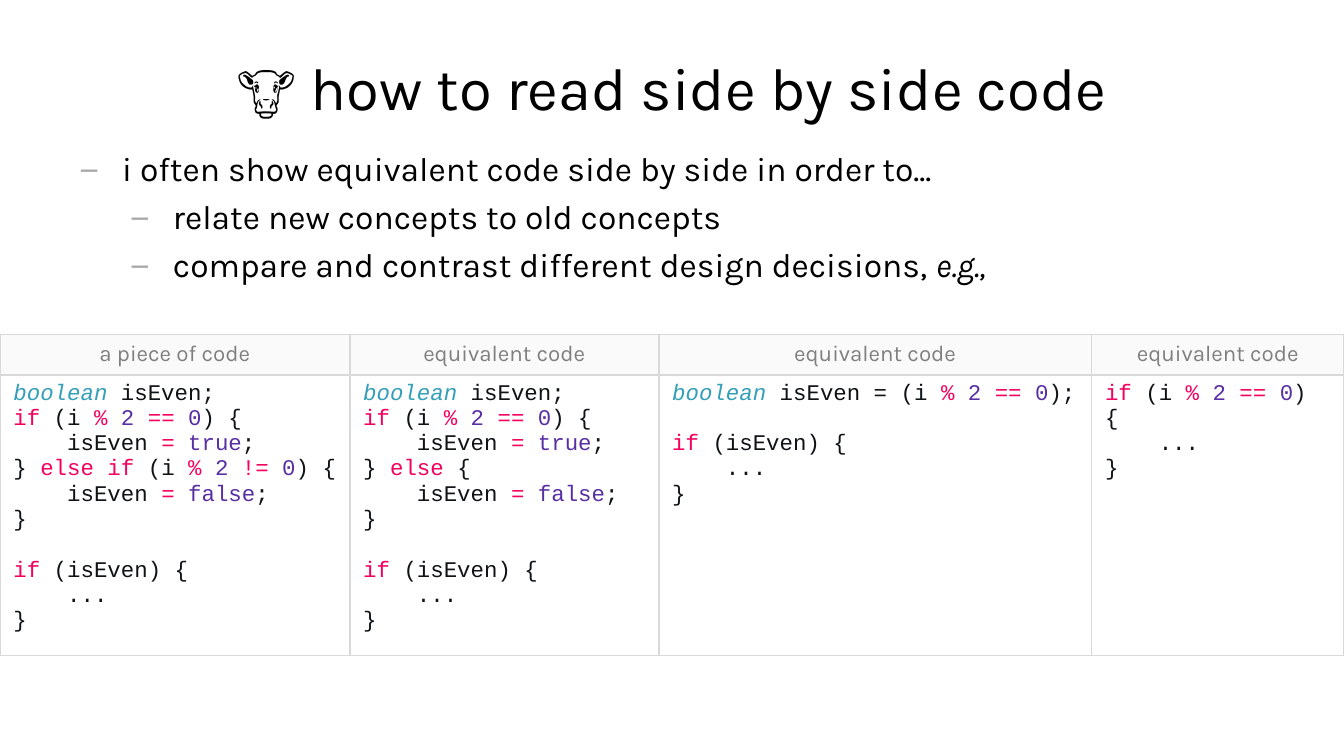
from dataclasses import dataclass

from lxml import etree
from pptx import Presentation
from pptx import util as u
from pptx.dml import color
from pptx.enum import text
from pptx.oxml import ns


@dataclass(frozen=True)
class Theme:
    sans: str = "Karla"
    mono: str = "Courier New"
    ink: str = "000000"
    mute: str = "7F7F7F"
    dash: str = "A6A6A6"
    rule: str = "D9D9D9"
    head: str = "FAFAFA"
    page: str = "FFFFFF"
    code: str = "0F1315"
    word: str = "F4005F"
    value: str = "592FA4"
    kind: str = "339FB8"
    big: int = 32
    mid: int = 18
    small: int = 12


T = Theme()
TINTS = {
    **dict.fromkeys(["if", "else", "else if", "%", "=", "==", "!="], T.word),
    **dict.fromkeys(["0", "2", "true", "false"], T.value),
    "boolean": T.kind,
}
TEST = "if| (i |% |2 |== |0|) {"
DECL = "boolean |isEven;"
YES = "\tisEven |= |true|;"
NO = "\tisEven |= |false|;"
BODY = ["\t...", "}"]
USE = ["", "if| (isEven) {", *BODY]
CODE = [
    ("a piece of code", 6.61,
     [DECL, TEST, YES, "} |else if| (i |% |2 |!= |0|) {", NO, "}", *USE]),
    ("equivalent code", 5.84,
     [DECL, TEST, YES, "} |else| {", NO, "}", *USE]),
    ("equivalent code", 8.18,
     ["boolean |isEven = (i |% |2 |== |0|);", *USE]),
    ("equivalent code", 4.77, [TEST, *BODY]),
]
POINTS = [
    (0, [("i often show equivalent code side by side in order to...", False)]),
    (1, [("relate new concepts to old concepts", False)]),
    (1, [("compare and contrast different design decisions, ", False),
         ("e.g.,", True)]),
]


def rgb(tint):
    return color.RGBColor.from_string(tint)


def add_run(para, words, font, size, tint, slant=False):
    run = para.add_run()
    run.text = words
    run.font.name = font
    run.font.size = u.Pt(size)
    run.font.color.rgb = rgb(tint)
    run.font.italic = slant
    run.font.bold = False


def add_node(parent, tag, **attrs):
    return etree.SubElement(parent, ns.qn(tag), attrs)


def add_title(slide, box):
    title = slide.shapes.title
    title.left, title.top, title.width, title.height = box
    frame = title.text_frame
    frame.auto_size = text.MSO_AUTO_SIZE.NONE
    frame.vertical_anchor = text.MSO_ANCHOR.MIDDLE
    para = frame.paragraphs[0]
    para.alignment = text.PP_ALIGN.CENTER
    add_run(para, "🐮 how to read side by side code", T.sans, T.big, T.ink)


def add_points(slide, box):
    frame = slide.shapes.add_textbox(*box).text_frame
    frame.word_wrap = True
    for row, (level, runs) in enumerate(POINTS):
        para = frame.add_paragraph() if row else frame.paragraphs[0]
        para.level = level
        para.space_before = u.Pt(4.2 if row else 0)
        props = para._p.get_or_add_pPr()
        props.set("marL", str(u.Cm(0.79 + 0.96 * level)))
        props.set("indent", str(-u.Cm(0.79)))
        add_node(add_node(props, "a:buClr"), "a:srgbClr", val=T.dash)
        add_node(props, "a:buFont", typeface=T.sans)
        add_node(props, "a:buChar", char="−")
        for words, slant in runs:
            add_run(para, words, T.sans, T.mid, T.ink, slant)


def style_cell(cell, fill):
    props = cell._tc.get_or_add_tcPr()
    for side in ("a:lnL", "a:lnR", "a:lnT", "a:lnB"):
        line = add_node(props, side, w=str(u.Pt(1)))
        add_node(add_node(line, "a:solidFill"), "a:srgbClr", val=T.rule)
    cell.fill.solid()
    cell.fill.fore_color.rgb = rgb(fill)


def add_code(frame, lines):
    gap, first = 0, True
    for line in lines:
        if not line:
            gap = 13.6
            continue
        para = frame.paragraphs[0] if first else frame.add_paragraph()
        para.space_before = u.Pt(gap)
        gap, first = 0, False
        if line.startswith("\t"):
            para._p.get_or_add_pPr().set("marL", str(u.Pt(28.8)))
        for part in line.strip("\t").split("|"):
            tint = TINTS.get(part.strip(), T.code)
            add_run(para, part, T.mono, T.small, tint, tint == T.kind)


def add_grid(slide, box):
    grid = slide.shapes.add_table(2, len(CODE), *box).table
    grid.first_row = grid.horz_banding = False
    grid.rows[0].height = u.Cm(0.75)
    grid.rows[1].height = box[3] - u.Cm(0.75)
    for col, (name, width, lines) in enumerate(CODE):
        grid.columns[col].width = u.Cm(width)
        head, body = grid.cell(0, col), grid.cell(1, col)
        style_cell(head, T.head)
        style_cell(body, T.page)
        para = head.text_frame.paragraphs[0]
        para.alignment = text.PP_ALIGN.CENTER
        add_run(para, name, T.sans, T.small, T.mute)
        add_code(body.text_frame, lines)


def cm_box(*sides):
    return tuple(u.Cm(side) for side in sides)


def main():
    deck = Presentation()
    deck.slide_width, deck.slide_height = cm_box(25.4, 14.29)
    slide = deck.slides.add_slide(deck.slide_layouts[5])
    add_title(slide, cm_box(1.27, 0.71, 22.86, 1.85))
    add_points(slide, cm_box(1.27, 2.67, 22.86, 3.3))
    add_grid(slide, cm_box(0, 6.32, 25.4, 5.79))
    deck.save("out.pptx")


if __name__ == "__main__":
    main()
